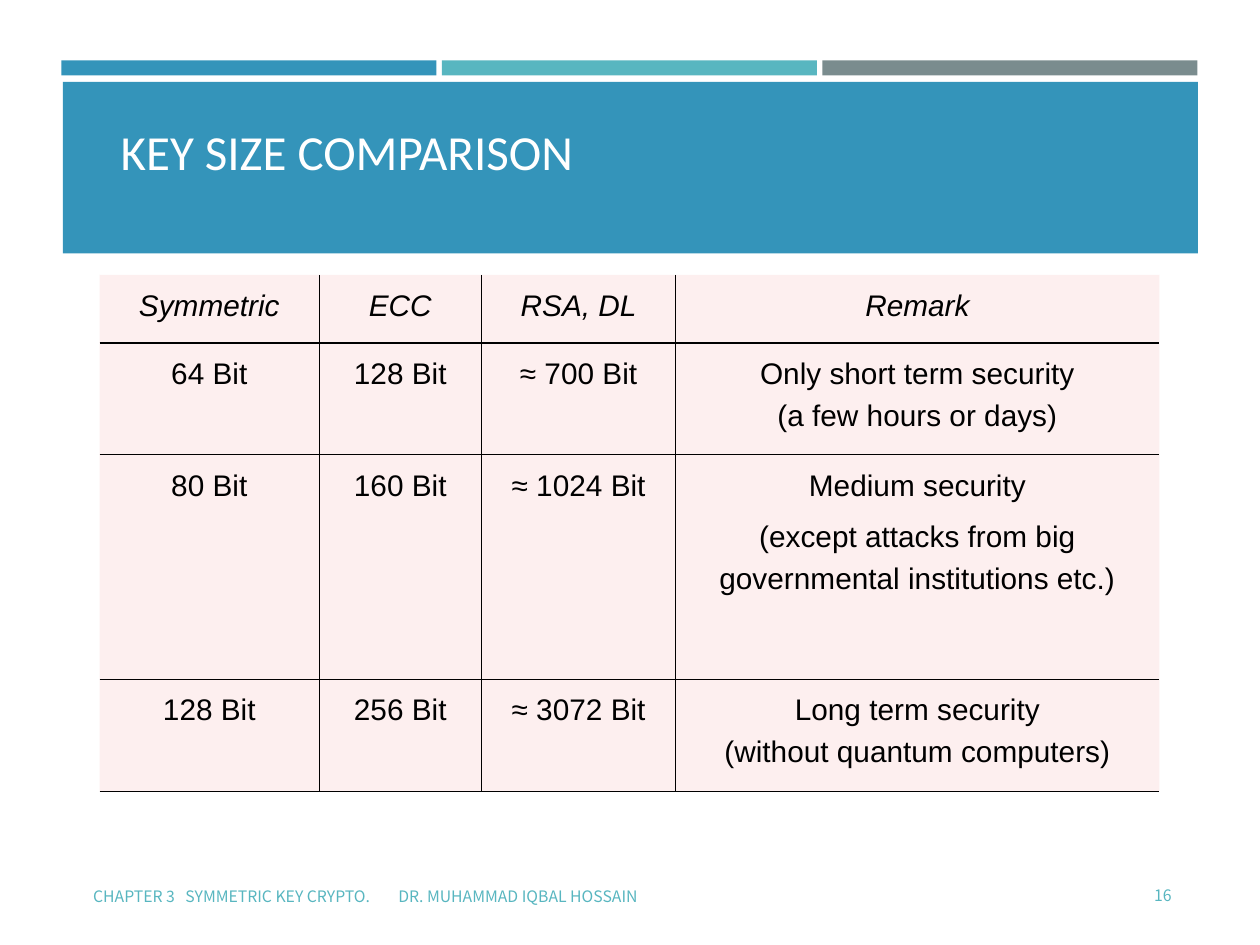
import dataclasses
import typing

import lxml.etree
import pptx
import pptx.dml.color
import pptx.enum.shapes
import pptx.enum.text
import pptx.oxml.ns
import pptx.util

Cm = pptx.util.Cm
Pt = pptx.util.Pt
Align = pptx.enum.text.PP_ALIGN
Anchor = pptx.enum.text.MSO_ANCHOR


@dataclasses.dataclass(frozen=True)
class Theme:
    blue: str = "3494BA"
    teal: str = "58B6C0"
    grey: str = "7A8C8E"
    white: str = "FFFFFF"
    ink: str = "000000"
    cell: str = "FCE0E1"
    cell_opacity: int = 50
    title_font: str = "Calibri"
    table_font: str = "Arial"
    footer_font: str = "Noto Sans CJK KR"
    title_size: float = 28
    table_size: float = 17
    footer_size: float = 9
    thin: float = 0.45
    thick: float = 1.08


THEME = Theme()


class Area(typing.NamedTuple):
    """Left, top, width and height in centimetres."""
    left: float
    top: float
    width: float
    height: float

    def lengths(self) -> list:
        return [Cm(value) for value in self]


class Footer(typing.NamedTuple):
    text: str
    area: Area
    align: Align
    tabs: tuple = ()


BAR_PITCH = 7.67
BARS = [
    (Area(1.24 + index * BAR_PITCH, 1.22, 7.56, 0.3), color)
    for index, color in enumerate((THEME.blue, THEME.teal, THEME.grey))
]
BANNER = (Area(1.27, 1.65, 22.88, 3.46), THEME.blue)
TITLE_AREA = Area(2.18, 0.33, 19.84, 3.43)
TABLE_CORNER = (2.01, 5.54)
COLUMN_WIDTHS = (4.42, 3.28, 3.91, 9.75)
ROW_HEIGHTS = (1.37, 2.26, 4.52, 2.26)

# "\v" breaks a line, "\n" starts a paragraph.
KEY_SIZES = (
    ("Symmetric", "ECC", "RSA, DL", "Remark"),
    ("64 Bit", "128 Bit", "≈ 700 Bit",
     "Only short term security\v(a few hours or days)"),
    ("80 Bit", "160 Bit", "≈ 1024 Bit",
     "Medium security\n(except attacks from big governmental institutions etc.)"),
    ("128 Bit", "256 Bit", "≈ 3072 Bit",
     "Long term security\v(without quantum computers)"),
)
FOOTERS = (
    Footer("CHAPTER 3\tSYMMETRIC KEY CRYPTO.\tDR. MUHAMMAD IQBAL HOSSAIN",
           Area(1.63, 17.55, 13.54, 1.02), Align.LEFT, (1.86, 6.15)),
    Footer("16", Area(21.74, 17.53, 2.13, 1.02), Align.RIGHT),
)


def add_xml(parent, tag: str, **attributes):
    child = lxml.etree.SubElement(parent, pptx.oxml.ns.qn(tag))
    for name, value in attributes.items():
        child.set(name, str(value))
    return child


def rgb(color: str):
    return pptx.dml.color.RGBColor.from_string(color)


def write_text(frame, text: str, *, font: str, size: float, color: str,
               align: Align = Align.LEFT, anchor: Anchor = Anchor.TOP,
               italic: bool = False, line_spacing: float = 1.0,
               gap: float = 0, tabs: tuple = ()) -> None:
    """Fill a text frame; gap is the space between paragraphs in points."""
    frame.word_wrap = True
    frame.vertical_anchor = anchor
    for index, line in enumerate(text.split("\n")):
        para = frame.add_paragraph() if index else frame.paragraphs[0]
        para.text = line
        para.alignment = align
        para.line_spacing = line_spacing
        para.space_before = Pt(gap if index else 0)
        if tabs:
            tab_list = add_xml(para._p.get_or_add_pPr(), "a:tabLst")
            for position in tabs:
                add_xml(tab_list, "a:tab", pos=int(Cm(position)), algn="l")
        for span in para.runs:
            span.font.name = font
            span.font.size = Pt(size)
            span.font.italic = italic
            span.font.bold = False
            span.font.color.rgb = rgb(color)


def add_block(page, area: Area, color: str) -> None:
    block = page.shapes.add_shape(
        pptx.enum.shapes.MSO_SHAPE.RECTANGLE, *area.lengths())
    block.shadow.inherit = False
    block.fill.solid()
    block.fill.fore_color.rgb = rgb(color)
    block.line.fill.background()


def add_title(page, text: str) -> None:
    """Place the title in front of the banner."""
    title = page.shapes.title
    title.left, title.top, title.width, title.height = TITLE_AREA.lengths()
    title.text_frame.auto_size = pptx.enum.text.MSO_AUTO_SIZE.NONE
    write_text(title.text_frame, text, font=THEME.title_font,
               size=THEME.title_size, color=THEME.white, anchor=Anchor.BOTTOM)
    title.element.getparent().append(title.element)


def add_footer(page, footer: Footer) -> None:
    box = page.shapes.add_textbox(*footer.area.lengths())
    write_text(box.text_frame, footer.text, font=THEME.footer_font,
               size=THEME.footer_size, color=THEME.teal, align=footer.align,
               anchor=Anchor.MIDDLE, tabs=footer.tabs)


def style_cell(cell, borders: dict) -> None:
    """Set the four borders (None hides one) and the translucent fill."""
    properties = cell._tc.get_or_add_tcPr()
    for side in "LRTB":
        width = borders[side]
        line = add_xml(properties, f"a:ln{side}", w=int(Pt(width or 0)))
        if width is None:
            add_xml(line, "a:noFill")
        else:
            add_xml(add_xml(line, "a:solidFill"), "a:srgbClr", val=THEME.ink)
    color = add_xml(add_xml(properties, "a:solidFill"), "a:srgbClr", val=THEME.cell)
    add_xml(color, "a:alpha", val=THEME.cell_opacity * 1000)


def add_key_table(page) -> None:
    area = Area(*TABLE_CORNER, sum(COLUMN_WIDTHS), sum(ROW_HEIGHTS))
    table = page.shapes.add_table(
        len(ROW_HEIGHTS), len(COLUMN_WIDTHS), *area.lengths()).table
    table.first_row = table.horz_banding = False
    for column, width in zip(table.columns, COLUMN_WIDTHS):
        column.width = Cm(width)
    for row, height in zip(table.rows, ROW_HEIGHTS):
        row.height = Cm(height)
    last_column = len(COLUMN_WIDTHS) - 1
    for r, texts in enumerate(KEY_SIZES):
        for c, text in enumerate(texts):
            cell = table.cell(r, c)
            write_text(cell.text_frame, text, font=THEME.table_font,
                       size=THEME.table_size, color=THEME.ink,
                       align=Align.CENTER, italic=r == 0,
                       line_spacing=1.25, gap=5.2)
            style_cell(cell, {
                "L": THEME.thin if c else None,
                "R": THEME.thin if c < last_column else None,
                "T": {0: None, 1: THEME.thick}.get(r, THEME.thin),
                "B": THEME.thin if r else THEME.thick,
            })


def main() -> None:
    deck = pptx.Presentation()
    deck.slide_width, deck.slide_height = Cm(25.4), Cm(19.05)
    page = deck.slides.add_slide(deck.slide_layouts.get_by_name("Title Only"))
    for area, color in (*BARS, BANNER):
        add_block(page, area, color)
    for footer in FOOTERS:
        add_footer(page, footer)
    add_key_table(page)
    add_title(page, "KEY SIZE COMPARISON")
    deck.save("out.pptx")


if __name__ == "__main__":
    main()
